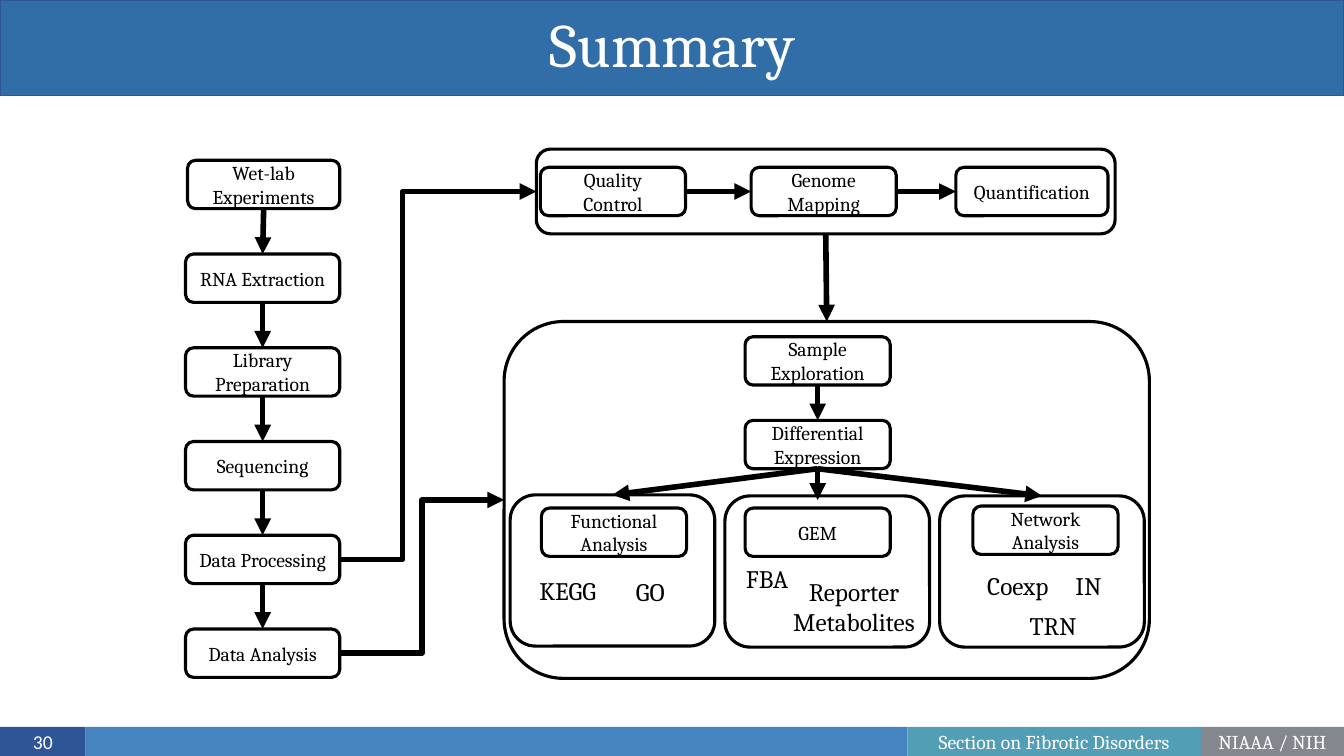
from itertools import pairwise

from lxml import etree
from pptx import Presentation
from pptx.dml.color import RGBColor
from pptx.enum.shapes import MSO_CONNECTOR, MSO_SHAPE
from pptx.enum.text import MSO_ANCHOR, PP_ALIGN
from pptx.oxml.ns import qn
from pptx.util import Inches, Pt

COLORS = {
    "ink": "000000",
    "white": "FFFFFF",
    "banner": "316DA7",
    "banner_edge": "325491",
    "number": "2F5597",
    "bar": "4584BE",
    "section": "519EB5",
    "institute": "84878E",
}
TOP, LEFT, BOTTOM, RIGHT = range(4)
STEP_H = 0.48


class WorkflowSlide:
    font = "Cambria"
    outline = 2.25
    arrow_width = 4

    def __init__(self, slide):
        self.shapes = slide.shapes

    def color(self, name):
        return RGBColor.from_string(COLORS[name])

    def set_text(self, shape, text, size, color, align=PP_ALIGN.CENTER, font=None):
        frame = shape.text_frame
        frame.text = text
        for paragraph in frame.paragraphs:
            paragraph.alignment = align
            for run in paragraph.runs:
                run.font.size = Pt(size)
                run.font.name = font or self.font
                run.font.color.rgb = self.color(color)

    def panel(self, kind, left, top, width, height, fill=None, line=None, weight=1):
        shape = self.shapes.add_shape(
            kind, Inches(left), Inches(top), Inches(width), Inches(height))
        shape.shadow.inherit = False
        if fill:
            shape.fill.solid()
            shape.fill.fore_color.rgb = self.color(fill)
        else:
            shape.fill.background()
        if line:
            shape.line.color.rgb = self.color(line)
            shape.line.width = Pt(weight)
        else:
            shape.line.fill.background()
        shape.text_frame.vertical_anchor = MSO_ANCHOR.MIDDLE
        return shape

    def bar(self, left, width, fill, text="", font=None):
        segment = self.panel(MSO_SHAPE.RECTANGLE, left, 7.21, width, 0.29, fill)
        if text:
            self.set_text(segment, text, 14, "white", font=font)

    def frame(self, left, top, width, height):
        return self.panel(MSO_SHAPE.ROUNDED_RECTANGLE, left, top, width, height,
                          line="ink", weight=self.outline)

    def step(self, text, left, top, width=1.44):
        box = self.frame(left, top, width, STEP_H)
        self.set_text(box, text, 14, "ink")
        return box

    def label(self, text, left, top, width, height=0.4, size=18, color="ink",
              align=PP_ALIGN.CENTER, wrap=False):
        box = self.shapes.add_textbox(
            Inches(left), Inches(top), Inches(width), Inches(height))
        box.text_frame.word_wrap = wrap
        self.set_text(box, text, size, color, align)
        return box

    def arrow(self, source, source_side, target, target_side, bend=None):
        """Join two boxes; target may also be a plain (x, y) point in inches."""
        kind = MSO_CONNECTOR.STRAIGHT if bend is None else MSO_CONNECTOR.ELBOW
        end = target if isinstance(target, tuple) else (0, 0)
        line = self.shapes.add_connector(kind, 0, 0, Inches(end[0]), Inches(end[1]))
        line.begin_connect(source, source_side)
        if target_side is not None:
            line.end_connect(target, target_side)
        line.line.color.rgb = self.color("ink")
        line.line.width = Pt(self.arrow_width)
        properties = line._element.spPr
        etree.SubElement(properties.find(qn("a:ln")), qn("a:tailEnd"), type="triangle")
        etree.SubElement(properties, qn("a:effectLst"))
        if bend is not None:
            guides = properties.find(qn("a:prstGeom")).get_or_add_avLst()
            etree.SubElement(guides, qn("a:gd"), name="adj1",
                             fmla=f"val {round(bend * 100000)}")


def main():
    prs = Presentation()
    prs.slide_width, prs.slide_height = Inches(13.33), Inches(7.5)
    page = WorkflowSlide(prs.slides.add_slide(prs.slide_layouts[6]))

    # Footer
    page.bar(0, 0.85, "number", "30", font="Calibri")
    page.bar(0.85, 8.15, "bar")
    page.bar(9, 2.91, "section", "Section on Fibrotic Disorders")
    page.bar(11.91, 1.42, "institute", "NIAAA / NIH")

    # Title banner
    banner = page.panel(MSO_SHAPE.PARALLELOGRAM, 0, 0, 13.33, 0.95,
                        "banner", "banner_edge")
    banner.adjustments[0] = 0
    title = page.label("Summary", 0.92, 0, 11.5, 0.95, 44, "white", wrap=True)
    title.text_frame.vertical_anchor = MSO_ANCHOR.MIDDLE
    title.text_frame.paragraphs[0].line_spacing = 0.9

    # Main workflow
    workflow = [page.step("Wet-lab Experiments", 1.86, 1.59, 1.51)]
    stages = ["RNA Extraction", "Library Preparation", "Sequencing",
              "Data Processing", "Data Analysis"]
    for row, stage in enumerate(stages):
        workflow.append(page.step(stage, 1.84, 2.52 + 0.93 * row, 1.53))
    for upper, lower in pairwise(workflow):
        page.arrow(upper, BOTTOM, lower, TOP)
    processing, analysis = workflow[-2:]

    # Data processing detail
    processing_frame = page.frame(5.32, 1.48, 5.74, 0.84)
    pipeline = [page.step("Quality Control", 5.36, 1.66),
                page.step("Genome Mapping", 7.45, 1.66),
                page.step("Quantification", 9.48, 1.66, 1.51)]
    for before, after in pairwise(pipeline):
        page.arrow(before, RIGHT, after, LEFT)

    # Data analysis detail
    analysis_frame = page.frame(5, 3.19, 6.4, 3.54)
    functional_frame = page.frame(5.06, 4.91, 2.03, 1.5)
    page.frame(7.19, 4.92, 2.03, 1.5)
    network_frame = page.frame(9.32, 4.92, 2.03, 1.5)
    exploration = page.step("Sample Exploration", 7.39, 3.34)
    expression = page.step("Differential Expression", 7.39, 4.17)
    page.step("Functional Analysis", 5.37, 5.04)
    page.step("GEM", 7.39, 5.04)
    page.step("Network Analysis", 9.65, 5.02)

    # Methods in each analysis
    for method, left, top, width in [("KEGG", 5.25, 5.66, 0.91),
                                     ("GO", 6.21, 5.67, 0.57),
                                     ("FBA", 7.3, 5.54, 0.69)]:
        page.label(method, left, top, width, align=PP_ALIGN.LEFT)
    page.label("Reporter\nMetabolites", 7.71, 5.67, 1.52, 0.71)
    for method, left, top, width in [("Coexp", 9.65, 5.61, 0.89),
                                     ("IN", 10.55, 5.61, 0.49),
                                     ("TRN", 10.08, 6.01, 0.73)]:
        page.label(method, left, top, width)

    # Arrows between the parts
    page.arrow(exploration, BOTTOM, expression, TOP)
    page.arrow(expression, BOTTOM, (8.11, 4.96), None)
    page.arrow(expression, BOTTOM, functional_frame, TOP)
    page.arrow(expression, BOTTOM, network_frame, TOP)
    page.arrow(processing_frame, BOTTOM, analysis_frame, TOP)
    page.arrow(processing, RIGHT, processing_frame, LEFT, bend=0.32)
    page.arrow(analysis, RIGHT, analysis_frame, LEFT, bend=0.5)

    prs.save("out.pptx")


if __name__ == "__main__":
    main()
